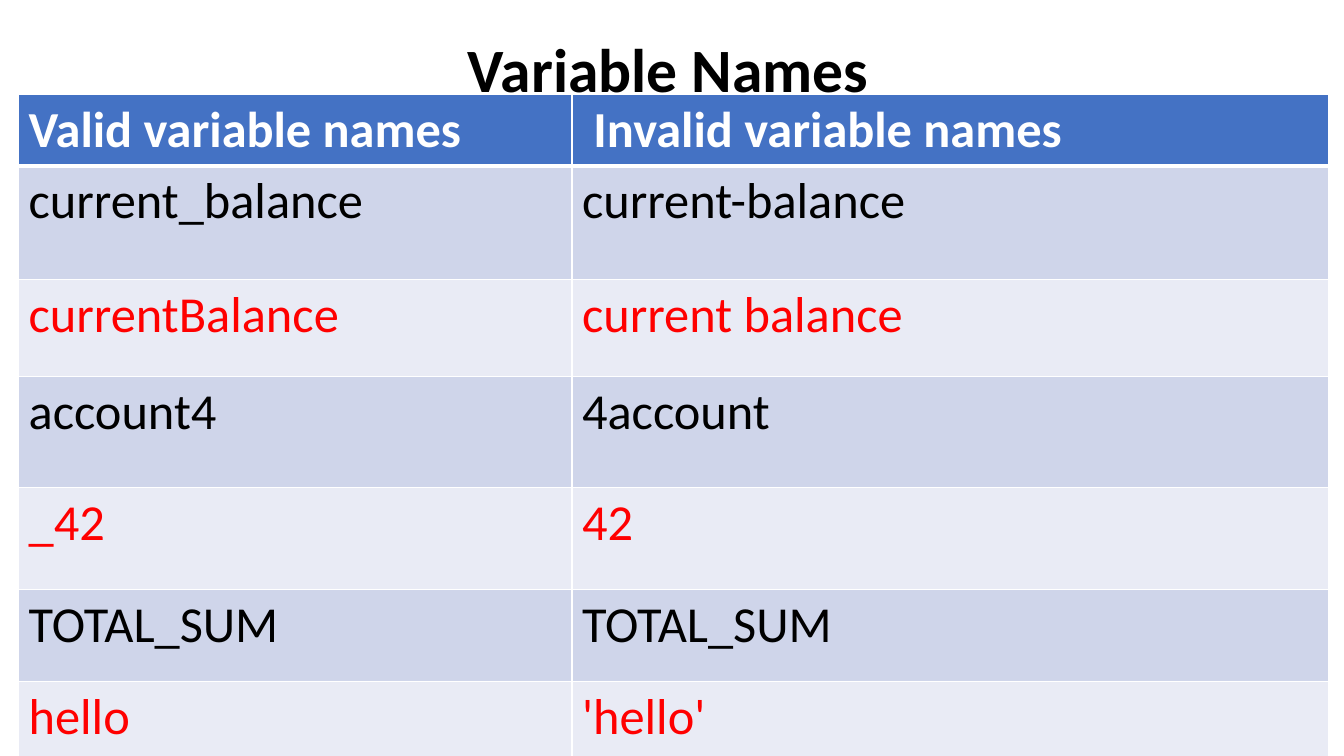
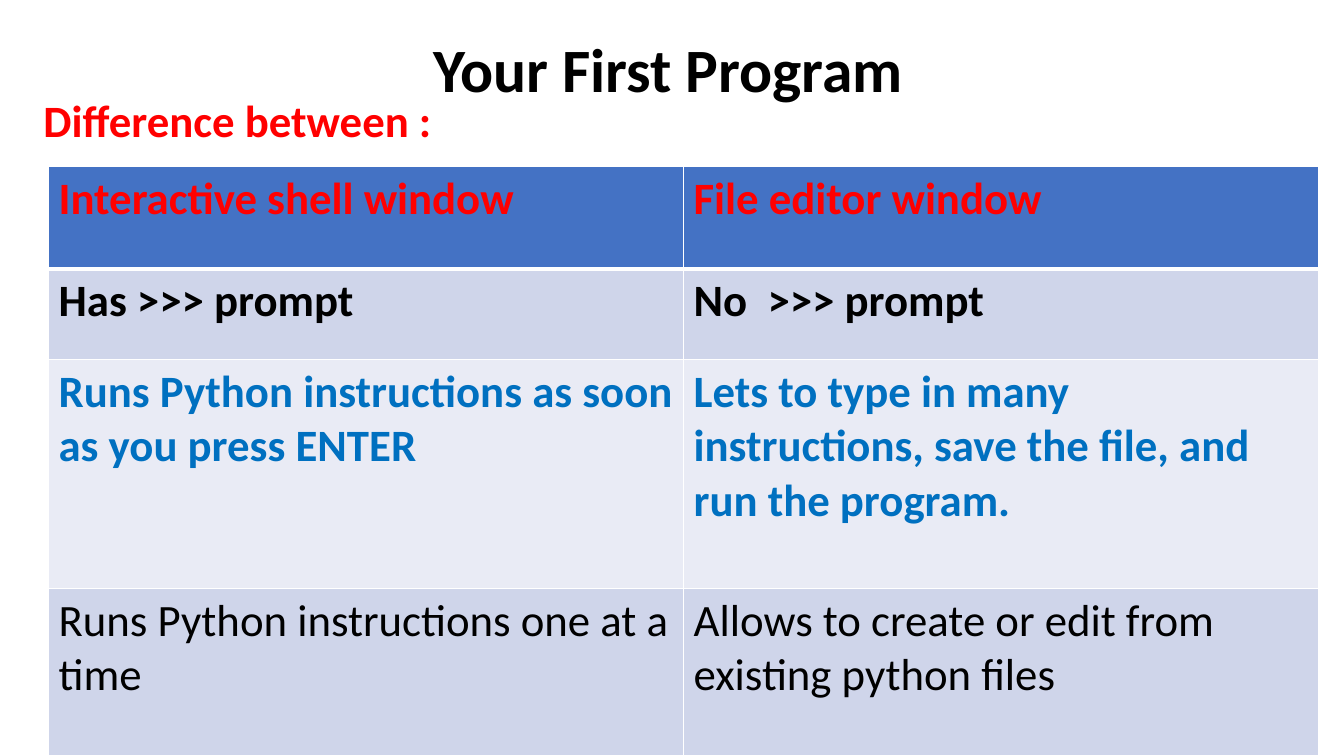
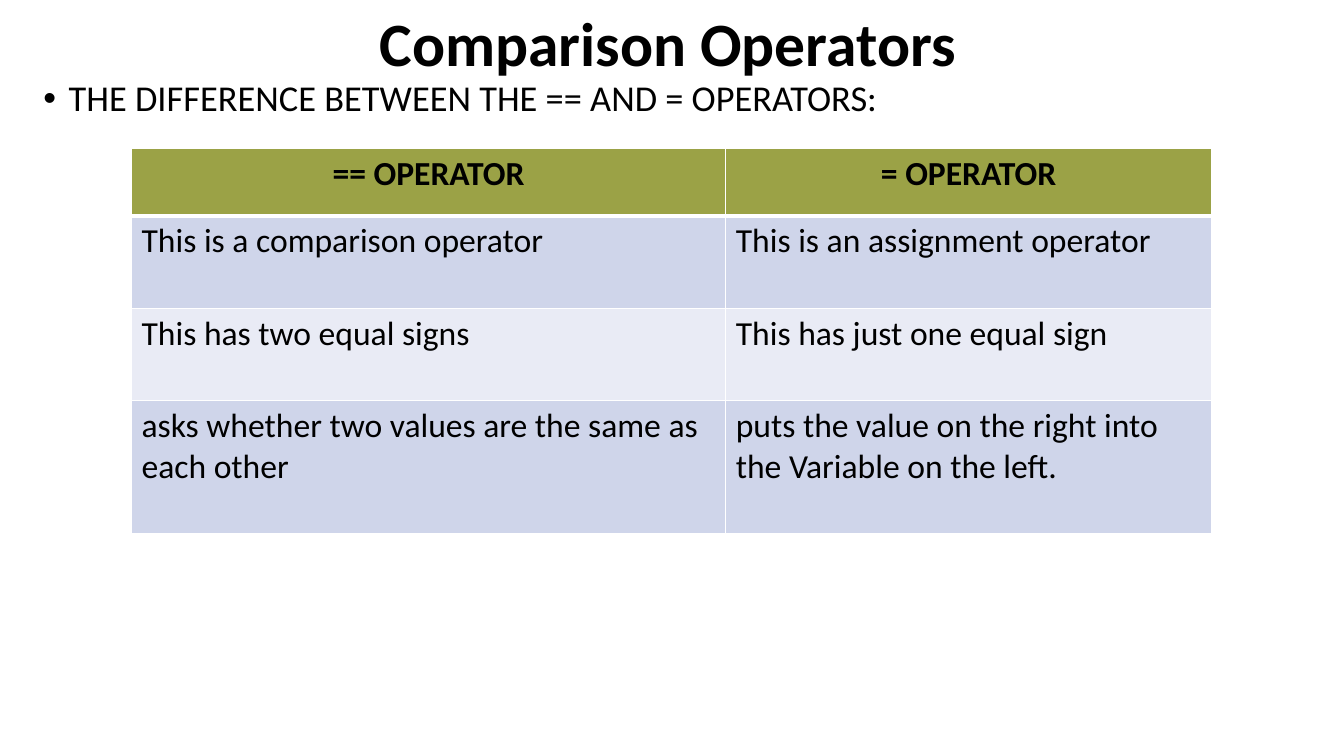
import pptx
import pptx.dml.color
import pptx.enum.text
import pptx.oxml
import pptx.oxml.ns
import pptx.util
from dataclasses import dataclass

Pt = pptx.util.Pt
Align = pptx.enum.text.PP_ALIGN
Anchor = pptx.enum.text.MSO_ANCHOR


@dataclass(frozen=True)
class Theme:
    font: str = "Calibri"
    black: str = "000000"
    white: str = "FFFFFF"
    red: str = "FF0000"
    blue: str = "0070C0"
    header_blue: str = "4472C4"
    header_olive: str = "9BA246"
    bands: tuple = ("CFD5EA", "E9EBF5")
    title_size: int = 44
    huge: int = 36
    large: int = 32
    lead: int = 26
    normal: int = 24
    grid_line: int = 1
    header_line: int = 3


THEME = Theme()


class Deck:
    """Holds the style, the presentation and the slide being built."""

    def __init__(self, theme):
        self.theme = theme
        self.prs = pptx.Presentation()
        self.prs.slide_width, self.prs.slide_height = Pt(960), Pt(540)
        self.slide = None

    def set_text(self, frame, text, size, color, bold=False, align=Align.LEFT):
        frame.text = text
        paragraph = frame.paragraphs[0]
        paragraph.alignment = align
        font = paragraph.runs[0].font
        font.name, font.size, font.bold = self.theme.font, Pt(size), bold
        font.color.rgb = pptx.dml.color.RGBColor.from_string(color)
        return paragraph

    def titled_slide(self, text, height=103.7):
        self.slide = self.prs.slides.add_slide(self.prs.slide_layouts[5])
        title = self.slide.shapes.title
        title.left, title.top = Pt(13), Pt(0)
        title.width, title.height = Pt(928.8), Pt(height)
        frame = title.text_frame
        frame.word_wrap = True
        frame.auto_size = pptx.enum.text.MSO_AUTO_SIZE.NONE
        frame.vertical_anchor = Anchor.MIDDLE
        self.set_text(frame, text, self.theme.title_size, self.theme.black,
                      True, Align.CENTER).line_spacing = 0.9

    def lead_in(self, text, top, size, color, bold=False, bullet=False):
        box = self.slide.shapes.add_textbox(Pt(24), Pt(top), Pt(917), Pt(45))
        box.text_frame.word_wrap = True
        paragraph = self.set_text(box.text_frame, text, size, color, bold)
        paragraph.line_spacing = 0.9
        if bullet:
            props = paragraph._p.get_or_add_pPr()
            props.set("marL", str(Pt(18)))
            props.set("indent", str(-Pt(18)))
            ns = pptx.oxml.ns.nsdecls("a")
            props.append(pptx.oxml.parse_xml(f'<a:buFont {ns} typeface="Arial"/>'))
            props.append(pptx.oxml.parse_xml(f'<a:buChar {ns} char="•"/>'))

    def set_borders(self, cell, top, bottom):
        props = cell._tc.get_or_add_tcPr()
        ns = pptx.oxml.ns.nsdecls("a")
        thin = self.theme.grid_line
        sides = (("L", thin), ("R", thin), ("T", top), ("B", bottom))
        for position, (side, width) in enumerate(sides):
            props.insert(position, pptx.oxml.parse_xml(
                f'<a:ln{side} {ns} w="{Pt(width)}"><a:solidFill>'
                f'<a:srgbClr val="{self.theme.white}"/></a:solidFill></a:ln{side}>'))

    def comparison(self, left, top, widths, heights, rows, styles, size,
                   header_fill, header_align=Align.LEFT):
        """Draw a banded table; styles gives (colour, bold) for each row."""
        theme = self.theme
        table = self.slide.shapes.add_table(
            len(rows), len(widths), Pt(left), Pt(top),
            Pt(sum(widths)), Pt(sum(heights))).table
        table.horz_banding = False
        for column, width in zip(table.columns, widths):
            column.width = Pt(width)
        for index, (texts, (color, bold)) in enumerate(zip(rows, styles)):
            table.rows[index].height = Pt(heights[index])
            is_header = index == 0
            fill = header_fill if is_header else theme.bands[(index - 1) % 2]
            align = header_align if is_header else Align.LEFT
            for column, text in enumerate(texts):
                cell = table.cell(index, column)
                cell.fill.solid()
                cell.fill.fore_color.rgb = pptx.dml.color.RGBColor.from_string(fill)
                self.set_text(cell.text_frame, text, size, color, bold, align)
                self.set_borders(
                    cell,
                    top=theme.header_line if index == 1 else theme.grid_line,
                    bottom=theme.header_line if is_header else theme.grid_line)


def variable_names(deck):
    theme = deck.theme
    deck.titled_slide("Variable Names")
    deck.comparison(
        13.3, 67.2, (395.3, 540.7), (50.5, 81.4, 68.8, 79.6, 72.7, 65.7, 65.7),
        (("Valid variable names", " Invalid variable names"),
         ("current_balance", "current-balance"),
         ("currentBalance", "current balance"),
         ("account4", "4account"),
         ("_42", "42"),
         ("TOTAL_SUM", "TOTAL_SUM"),
         ("hello", "'hello'")),
        [(theme.white, True)] + [(theme.black, False), (theme.red, False)] * 3,
        theme.huge, theme.header_blue)


def first_program(deck):
    theme = deck.theme
    deck.titled_slide("Your First Program")
    deck.lead_in("Difference between :", 67, theme.large, theme.red, bold=True)
    deck.comparison(
        34.7, 119, (453.6, 453.6), (73.2, 64.6, 163.6, 119.6),
        (("Interactive shell window", "File editor window"),
         ("Has >>> prompt", "No  >>> prompt"),
         ("Runs Python instructions as soon as you press ENTER",
          "Lets to type in many instructions, save the file, and run the program."),
         ("Runs Python instructions one at a time",
          "Allows to create or edit from existing python files")),
        ((theme.red, True), (theme.black, True),
         (theme.blue, True), (theme.black, False)),
        theme.large, theme.header_blue)


def comparison_operators(deck):
    theme = deck.theme
    deck.titled_slide("Comparison Operators", height=67)
    deck.lead_in("THE DIFFERENCE BETWEEN THE == AND = OPERATORS:", 54,
                 theme.lead, theme.black, bullet=True)
    deck.comparison(
        93.9, 106.1, (424.5, 347), (48.2, 65.8, 65.8, 95),
        (("== OPERATOR", "= OPERATOR"),
         ("This is a comparison operator", "This is an assignment operator"),
         ("This has two equal signs", "This has just one equal sign"),
         ("asks whether two values are the same as each other",
          "puts the value on the right into the Variable on the left.")),
        [(theme.black, True)] + [(theme.black, False)] * 3,
        theme.normal, theme.header_olive, Align.CENTER)


def main():
    deck = Deck(THEME)
    variable_names(deck)
    first_program(deck)
    comparison_operators(deck)
    deck.prs.save("out.pptx")


if __name__ == "__main__":
    main()
